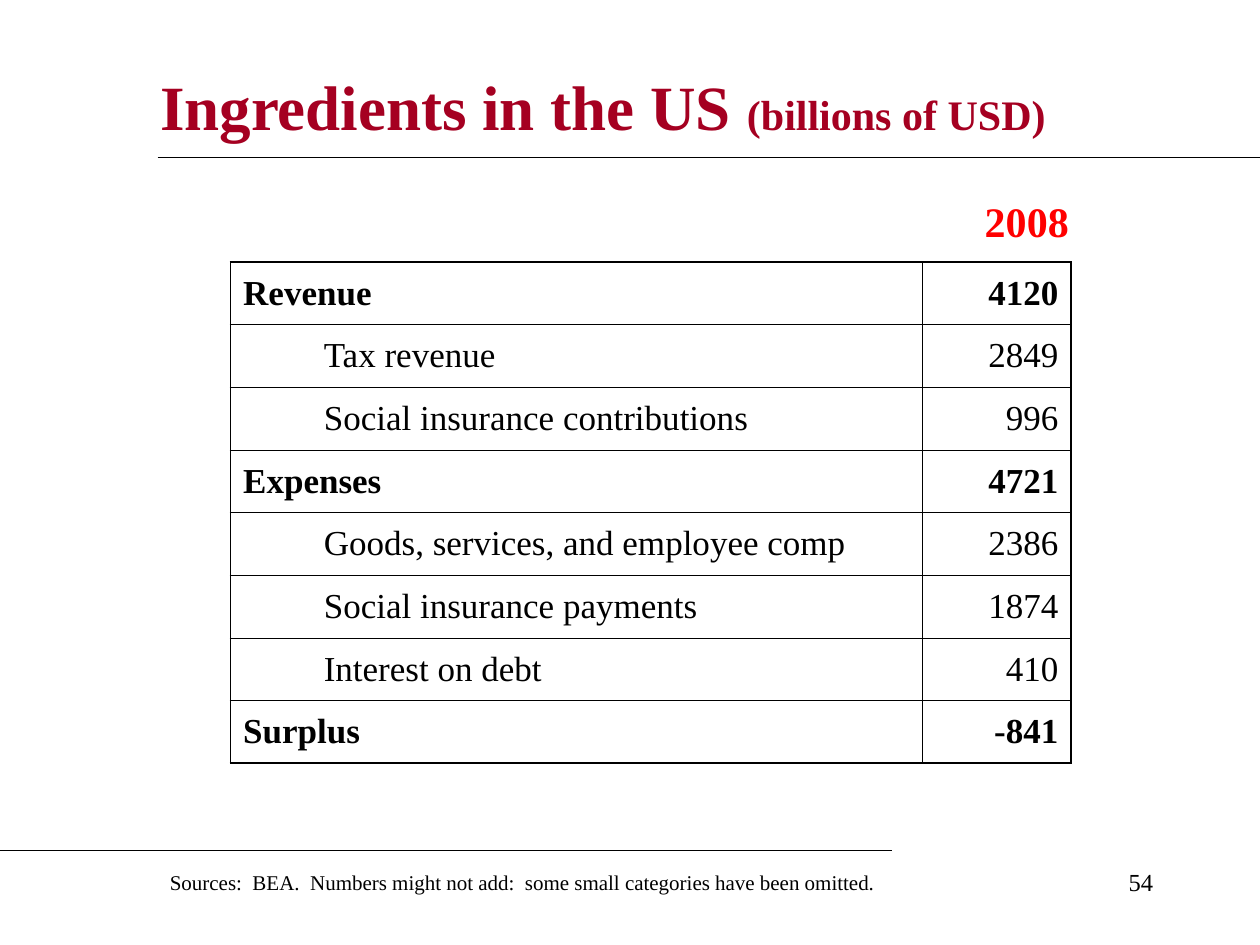
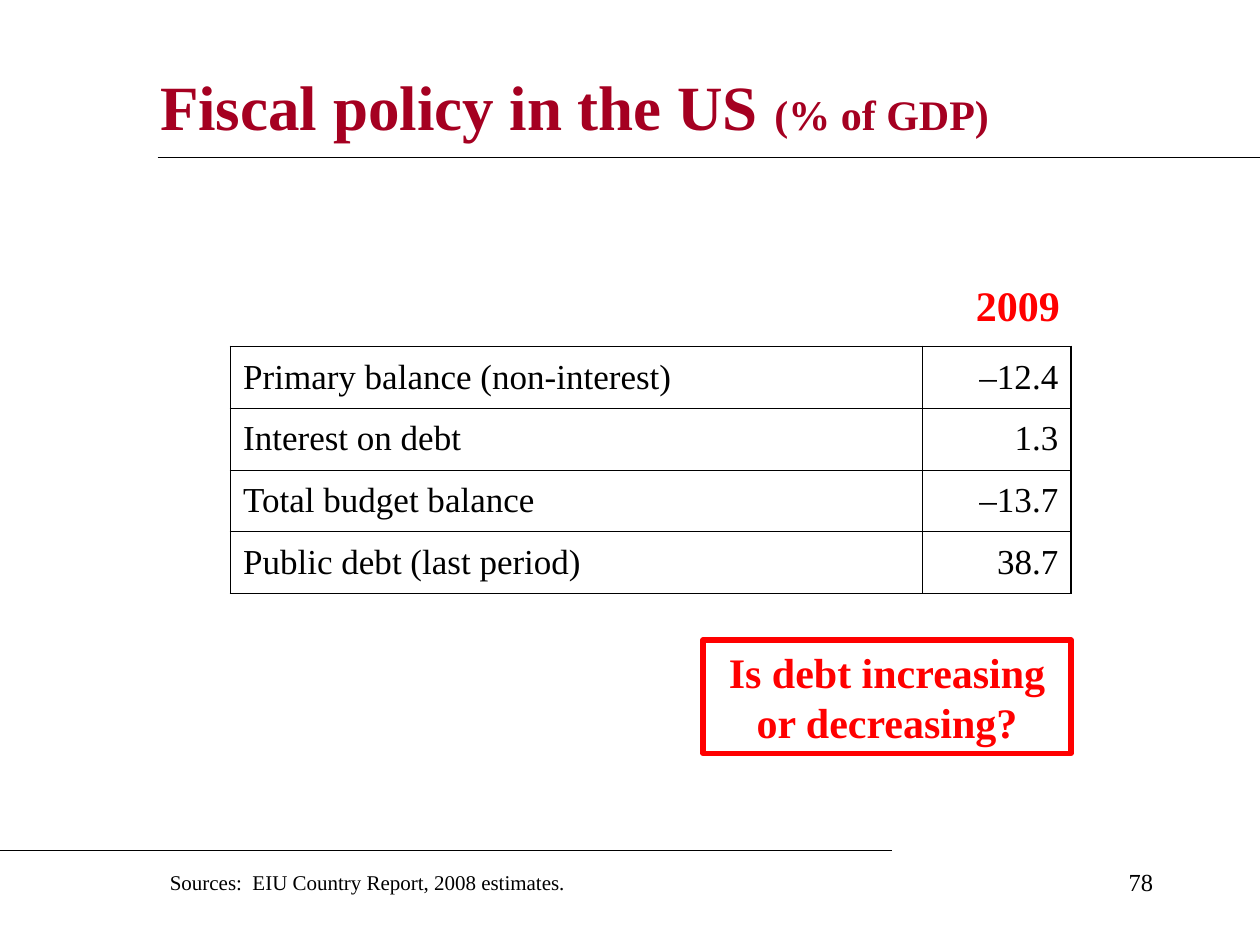
"""Build two fiscal policy slides, each with a table of figures."""
from lxml.etree import SubElement
from pptx import Presentation
from pptx.dml.color import RGBColor
from pptx.enum.shapes import MSO_CONNECTOR, MSO_SHAPE
from pptx.enum.text import MSO_ANCHOR as ANCHOR, PP_ALIGN as ALIGN
from pptx.oxml.ns import qn
from pptx.util import Inches, Pt

FONT = "Times New Roman"
BLACK = RGBColor(0x00, 0x00, 0x00)
CRIMSON = RGBColor(0xA5, 0x00, 0x21)
RED = RGBColor(0xFF, 0x00, 0x00)
OUTER, INNER = Pt(1.08), Pt(0.45)

TITLE = dict(size=Pt(36), bold=True, color=CRIMSON)
UNIT = dict(TITLE, size=Pt(24))
ACCENT = dict(size=Pt(24), bold=True, color=RED)
CELL = dict(size=Pt(20), bold=False, color=BLACK)
SOURCE = dict(size=Pt(12), bold=False, color=BLACK)
NUMBER = dict(SOURCE, size=Pt(14))

US_BUDGET = [
    ("Revenue", "", "4120"),
    ("", "Tax revenue", "2849"),
    ("", "Social insurance contributions", "996"),
    ("Expenses", "", "4721"),
    ("", "Goods, services, and employee comp", "2386"),
    ("", "Social insurance payments", "1874"),
    ("", "Interest on debt", "410"),
    ("Surplus", "", "-841"),
]
US_FISCAL = [
    ("Primary balance (non-interest)", "–12.4"),
    ("Interest on debt", "1.3"),
    ("Total budget balance", "–13.7"),
    ("Public debt (last period)", "38.7"),
]


def inches(*values):
    """Convert a box in inches to lengths."""
    return [Inches(v) for v in values]


def add_run(p, text, style):
    """Add a run of text in the given style."""
    r = p.add_run()
    r.text = text
    r.font.name = FONT
    for name, value in style.items():
        if name == "color":
            r.font.color.rgb = value
        else:
            setattr(r.font, name, value)


def add_text(slide, box, text, style, align=ALIGN.LEFT):
    """Add a wrapped one-paragraph text box."""
    tf = slide.shapes.add_textbox(*inches(*box)).text_frame
    tf.word_wrap = True
    tf.paragraphs[0].alignment = align
    add_run(tf.paragraphs[0], text, style)


def add_rule(slide, left, right, y):
    """Draw a thin horizontal line."""
    line = slide.shapes.add_connector(MSO_CONNECTOR.STRAIGHT, *inches(left, y, right, y))
    line.line.color.rgb = BLACK
    line.line.width = Pt(0.75)
    SubElement(line._element.spPr, qn("a:effectLst"))


def add_frame(prs, title, unit, source, number):
    """Add a slide with its title, rules, source and number."""
    slide = prs.slides.add_slide(prs.slide_layouts[5])
    sp = slide.shapes.title
    sp.left, sp.top, sp.width, sp.height = inches(1.17, 0.42, 8.5, 0.83)
    sp.text_frame.vertical_anchor = ANCHOR.MIDDLE
    p = sp.text_frame.paragraphs[0]
    p.alignment = ALIGN.LEFT
    add_run(p, title + " ", TITLE)
    add_run(p, unit, UNIT)
    add_rule(slide, 1.25, 10, 1.25)
    add_rule(slide, 0, 7.08, 6.75)
    add_text(slide, (1.25, 6.85, 7.17, 0.3), source, SOURCE)
    add_text(slide, (7.17, 6.83, 2.08, 0.5), number, NUMBER, ALIGN.RIGHT)
    return slide


def column_edge(index, count):
    """Return the line width at a column boundary, or None."""
    if index in (0, count):
        return OUTER
    return INNER if index == count - 1 else None


def row_edge(index, count):
    """Return the line width at a row boundary."""
    return OUTER if index in (0, count) else INNER


def set_borders(cell, widths):
    """Set the left, right, top and bottom borders of a cell."""
    tc_pr = cell._tc.get_or_add_tcPr()
    for side, width in zip("LRTB", widths):
        ln = SubElement(tc_pr, qn(f"a:ln{side}"))
        if width is None:
            SubElement(ln, qn("a:noFill"))
        else:
            ln.set("w", str(int(width)))
            fill = SubElement(ln, qn("a:solidFill"))
            SubElement(fill, qn("a:srgbClr")).set("val", str(BLACK))


def add_figures(slide, box, widths, rows):
    """Add a table of labels and figures; a label before an empty cell is a heading."""
    n_rows, n_cols = len(rows), len(widths)
    table = slide.shapes.add_table(n_rows, n_cols, *inches(*box)).table
    table.first_row = table.horz_banding = False
    for column, width in zip(table.columns, widths):
        column.width = Inches(width)
    for i, row in enumerate(rows):
        heading = row[1] == ""
        if heading:
            table.cell(i, 0).merge(table.cell(i, 1))
        for j, text in enumerate(row):
            cell = table.cell(i, j)
            set_borders(cell, (column_edge(j, n_cols),
                               column_edge(j + cell.span_width, n_cols),
                               row_edge(i, n_rows), row_edge(i + 1, n_rows)))
            cell.fill.background()
            cell.vertical_anchor = ANCHOR.MIDDLE
            if text:
                p = cell.text_frame.paragraphs[0]
                p.alignment = ALIGN.RIGHT if j == n_cols - 1 else ALIGN.LEFT
                add_run(p, text, dict(CELL, bold=heading))


def add_question(slide, box, text):
    """Add a red outlined box with a question."""
    sp = slide.shapes.add_shape(MSO_SHAPE.RECTANGLE, *inches(*box))
    sp.shadow.inherit = False
    sp.fill.background()
    sp.line.color.rgb = RED
    sp.line.width = Pt(3)
    tf = sp.text_frame
    tf.word_wrap = True
    tf.vertical_anchor = ANCHOR.TOP
    tf.paragraphs[0].alignment = ALIGN.CENTER
    add_run(tf.paragraphs[0], text, ACCENT)


def build_budget(prs):
    """Build the slide of revenue and expenses."""
    slide = add_frame(
        prs, "Ingredients in the US", "(billions of USD)",
        "Sources:  BEA.  Numbers might not add:  some small categories have been omitted.", "54")
    add_figures(slide, (1.83, 2.08, 6.67, 3.98), (0.64, 4.85, 1.18), US_BUDGET)
    add_text(slide, (6.33, 1.5, 2.25, 0.5), "2008", ACCENT, ALIGN.RIGHT)


def build_fiscal(prs):
    """Build the slide of balances and debt."""
    slide = add_frame(prs, "Fiscal policy in the US", "(% of GDP)",
                      "Sources:  EIU Country Report, 2008 estimates.", "78")
    add_figures(slide, (1.83, 2.75, 6.67, 1.96), (5.49, 1.18), US_FISCAL)
    add_question(slide, (5.58, 5.08, 2.92, 0.9), "Is debt increasing or decreasing?")
    add_text(slide, (7.43, 2.17, 1.08, 0.5), "2009", ACCENT, ALIGN.RIGHT)


def main():
    """Build and save the presentation."""
    prs = Presentation()
    prs.slide_width, prs.slide_height = inches(10, 7.5)
    build_budget(prs)
    build_fiscal(prs)
    prs.save("out.pptx")


if __name__ == "__main__":
    main()
